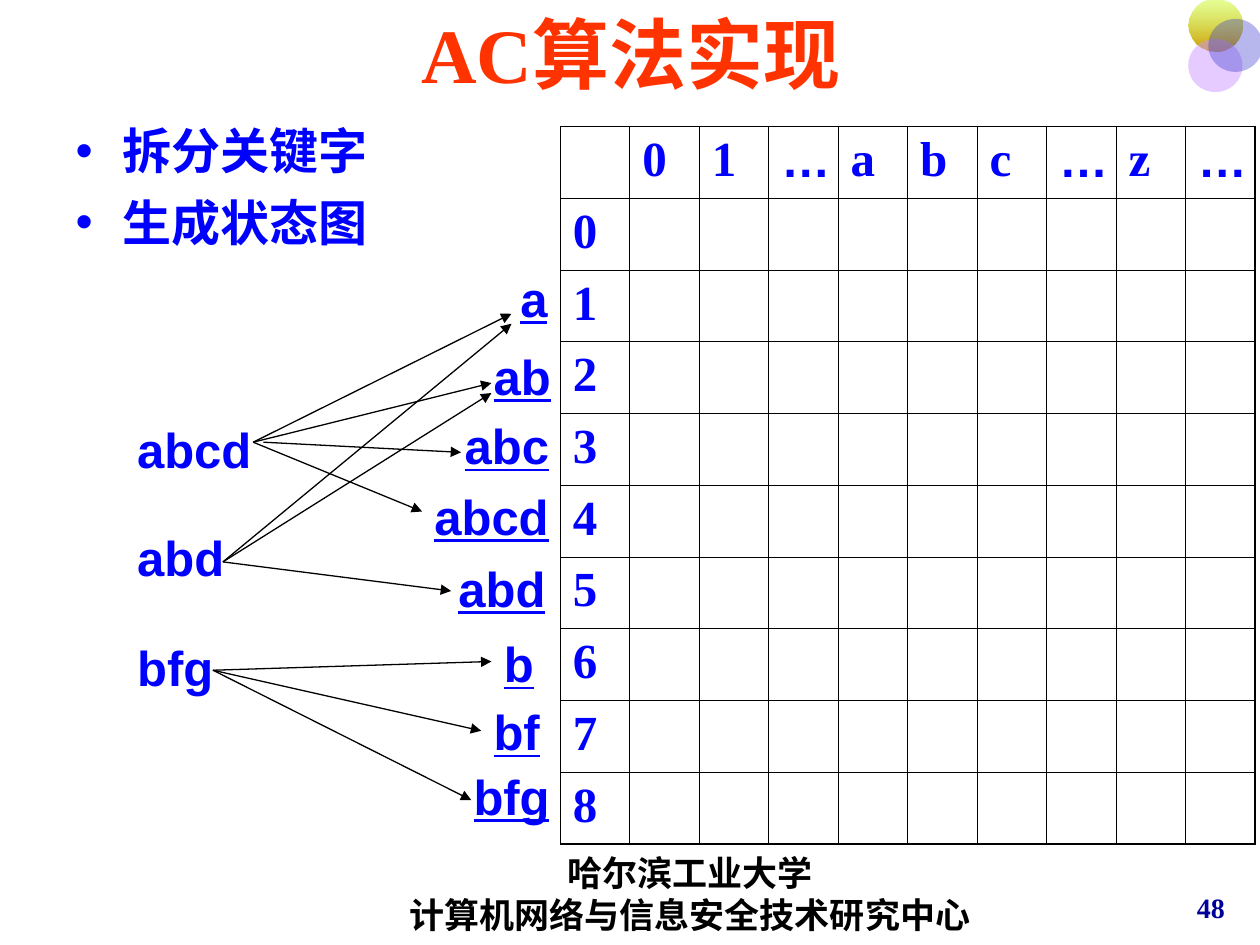
from lxml.etree import SubElement
from pptx import Presentation
from pptx.dml.color import RGBColor
from pptx.enum.shapes import MSO_CONNECTOR as CONNECTOR, MSO_SHAPE as SHAPE
from pptx.enum.text import MSO_ANCHOR as ANCHOR, MSO_AUTO_SIZE as AUTO_SIZE, PP_ALIGN as ALIGN
from pptx.oxml.ns import qn
from pptx.util import Pt

BLUE = "0000FF"
SERIF, SANS = "Times New Roman", "Arial"


def rgb(value):
    return RGBColor.from_string(value)


def format_runs(text_frame, size, color, font_name, underline=None):
    for paragraph in text_frame.paragraphs:
        for run in paragraph.runs:
            run.font.size = Pt(size)
            run.font.bold = True
            run.font.underline = underline
            run.font.name = font_name
            run.font.color.rgb = rgb(color)


presentation = Presentation()
presentation.slide_width, presentation.slide_height = Pt(720), Pt(540)
slide = presentation.slides.add_slide(presentation.slide_layouts[1])
shapes = slide.shapes

# Corner circles: left, top, colours, opacity in percent of the first colour
circles = [
    (679, -0.7, ["CCFF33", "CC9900"], 50),
    (679, 22.3, ["CC99FF"], 50),
    (690.5, 10.8, ["3333CC"], 35),
]
for left, top, colors, opacity in circles:
    circle = shapes.add_shape(SHAPE.OVAL, Pt(left), Pt(top), Pt(31), Pt(30.3))
    circle.shadow.inherit = False
    circle.line.fill.background()
    if len(colors) == 2:
        circle.fill.gradient()
        circle.fill.gradient_angle = 270
        for stop, color in zip(circle.fill.gradient_stops, colors):
            stop.color.rgb = rgb(color)
    else:
        circle.fill.solid()
        circle.fill.fore_color.rgb = rgb(colors[0])
    first_color = circle._element.spPr.find(".//" + qn("a:srgbClr"))
    SubElement(first_color, qn("a:alpha"), val=str(opacity * 1000))

# Title and list
title = shapes.title
title.left, title.top, title.width, title.height = Pt(36.7), Pt(0), Pt(648), Pt(60.5)
title.text_frame.text = "AC算法实现"
title.text_frame.auto_size = AUTO_SIZE.NONE
title.text_frame.vertical_anchor = ANCHOR.MIDDLE
title.text_frame.paragraphs[0].alignment = ALIGN.CENTER
format_runs(title.text_frame, 44, "FF3300", SERIF)

body = slide.placeholders[1]
body.left, body.top, body.width, body.height = Pt(36), Pt(65.5), Pt(318), Pt(416)
body.text_frame.text = "拆分关键字\n生成状态图"
body.text_frame.auto_size = AUTO_SIZE.NONE
for paragraph, space in zip(body.text_frame.paragraphs, (0, 7)):
    paragraph.space_before = Pt(space)
format_runs(body.text_frame, 28, BLUE, SERIF)

# Footer and page number
footer_items = [
    ("哈尔滨工业大学\n计算机网络与信息安全技术研究中心", 184.3, 485.3, 419.8, 51, 20, "000000"),
    ("48", 663.8, 500.4, 56.2, 36, 16, "000099"),
]
for text, left, top, width, height, size, color in footer_items:
    box = shapes.add_textbox(Pt(left), Pt(top), Pt(width), Pt(height))
    box.text_frame.text = text
    box.text_frame.word_wrap = False
    box.text_frame.vertical_anchor = ANCHOR.MIDDLE
    for paragraph in box.text_frame.paragraphs:
        paragraph.alignment = ALIGN.CENTER
    format_runs(box.text_frame, size, color, SERIF)

# Keywords and the prefixes they split into: text, left, top, width
keywords = [("abcd", 71.3, 236.2, 81), ("abd", 71.3, 298.1, 65.5), ("bfg", 71.3, 360.7, 59.5)]
prefixes = [
    ("a", 290.2, 149.8, 31.5),
    ("ab", 275, 194.4, 48.5),
    ("abc", 258.5, 234, 64),
    ("abcd", 241.2, 274.3, 81),
    ("abd", 254.9, 315.4, 65.5),
    ("b", 280.8, 358.6, 33),
    ("bf", 275, 397.4, 42.5),
    ("bfg", 263.5, 434.2, 59.5),
]
for labels, underline in ((keywords, None), (prefixes, True)):
    for text, left, top, width in labels:
        label = shapes.add_textbox(Pt(left), Pt(top), Pt(width), Pt(41))
        label.text_frame.text = text
        label.text_frame.word_wrap = False
        label.text_frame.auto_size = AUTO_SIZE.SHAPE_TO_FIT_TEXT
        format_runs(label.text_frame, 28, BLUE, SANS, underline)

# Arrows from each keyword to its prefixes
arrows = [
    ((144.7, 252.7), [(292.3, 179.3), (280.8, 218.9), (241.2, 292.3)]),
    ((150.5, 252.7), [(263.5, 258.5)]),
    ((127.4, 321.1), [(292.3, 185), (280.8, 224.6), (257.8, 337.7)]),
    ((121.7, 383), [(280.8, 378), (275, 417.6), (269.3, 457.2)]),
]
for (start_x, start_y), ends in arrows:
    for end_x, end_y in ends:
        arrow = shapes.add_connector(CONNECTOR.STRAIGHT, Pt(start_x), Pt(start_y), Pt(end_x), Pt(end_y))
        arrow.line.width = Pt(0.75)
        arrow.line.color.rgb = rgb("000000")
        SubElement(arrow.line._get_or_add_ln(), qn("a:tailEnd"), type="triangle")
        SubElement(arrow._element.spPr, qn("a:effectLst"))

# State table: characters across, states down
characters = ["", "0", "1", "…", "a", "b", "c", "…", "z", "…"]
count = len(characters)
last = count - 1
table = shapes.add_table(count, count, Pt(320.2), Pt(72.3), Pt(397), Pt(410)).table
table.first_row = table.horz_banding = False
for column in table.columns:
    column.width = Pt(39.7)
for row in table.rows:
    row.height = Pt(41)

for row in range(count):
    for column in range(count):
        cell = table.cell(row, column)
        cell.fill.background()
        if row == 0:
            cell.text_frame.text = characters[column]
        elif column == 0:
            cell.text_frame.text = str(row - 1)
        font_name = SANS if cell.text_frame.text == "…" else SERIF
        format_runs(cell.text_frame, 28, BLUE, font_name)

        properties = cell._tc.get_or_add_tcPr()
        outer_edges = {"lnL": column == 0, "lnR": column == last, "lnT": row == 0, "lnB": row == last}
        for position, (edge, is_outer) in enumerate(outer_edges.items()):
            width = Pt(1.08 if is_outer else 0.45)
            border = SubElement(properties, qn(f"a:{edge}"), w=str(width))
            border_fill = SubElement(border, qn("a:solidFill"))
            SubElement(border_fill, qn("a:srgbClr"), val="000000")
            properties.insert(position, border)

presentation.save("out.pptx")
